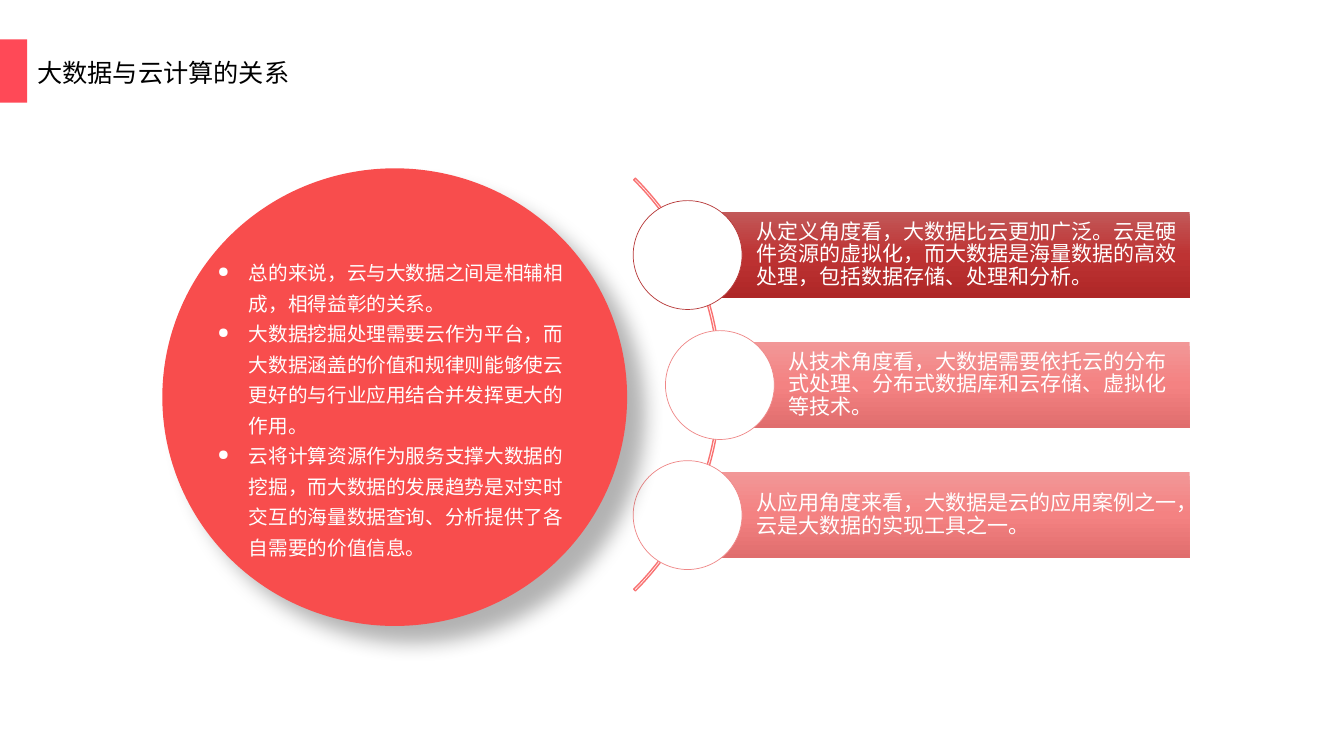
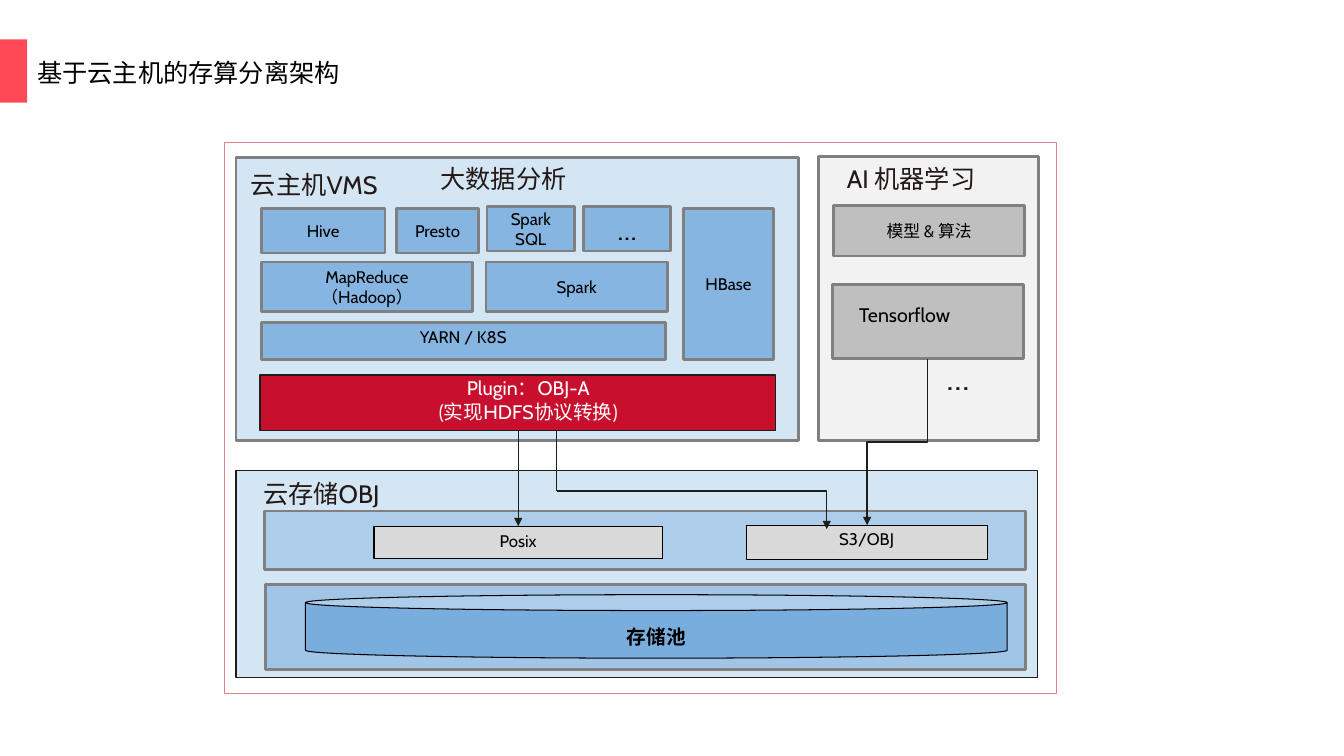
from copy import deepcopy
from dataclasses import dataclass

from lxml.etree import SubElement as Sub
from pptx import Presentation
from pptx.dml.color import RGBColor
from pptx.enum.shapes import MSO_CONNECTOR as Wire, MSO_SHAPE as Kind
from pptx.enum.text import MSO_ANCHOR as Anchor, MSO_AUTO_SIZE as Fit, PP_ALIGN as Align
from pptx.oxml.ns import qn
from pptx.util import Inches, Pt


@dataclass(frozen=True)
class Theme:
    sans: str = "Noto Sans CJK SC"
    latin: str = "Cabin"
    # type sizes
    head: int = 18
    body: int = 15
    note: int = 14
    small: int = 12
    dots: int = 20
    large: int = 24
    # colours
    white: str = "FFFFFF"
    black: str = "000000"
    ink: str = "221815"
    wire: str = "1D1D1A"
    band: str = "FF4957"
    disc: str = "F84D4D"
    arc: str = "F97272"
    dark: tuple = ("C25959", "BE3333", "AE2727")
    pale: tuple = ("F29797", "F48282", "E06D6D")
    ring: str = "B73939"
    rose: str = "EF8787"
    frame: str = "E28189"
    edge: str = "808080"
    panel: str = "D4E5F4"
    tray: str = "ADCDEA"
    vault: str = "A0C5E7"
    pool: str = "79ADDD"
    node: str = "85B5E0"
    plug: str = "C8102E"
    fog: str = "F2F2F2"
    gray: str = "BFBFBF"
    port: str = "D9D9D9"


T = Theme()


def rgb(code):
    return RGBColor.from_string(code)


def place(box):
    return [Inches(v) for v in box]


def write(frame, text, size, color, font, align=Align.LEFT, space=None, bold=False):
    """Set the text of a frame and format its paragraphs and runs."""
    frame.text = text
    frame.word_wrap = True
    for para in frame.paragraphs:
        para.alignment = align
        if space:
            para.line_spacing = space
        for run in para.runs:
            run.font.size = Pt(size)
            run.font.bold = bold
            run.font.color.rgb = rgb(color)
            run.font.name = font
            Sub(run.font._element, qn("a:ea"), typeface=T.sans)


def inset(frame, left, top, right=None):
    frame.margin_left = Inches(left)
    frame.margin_right = Inches(left if right is None else right)
    frame.margin_top = frame.margin_bottom = Inches(top)


def draw(slide, box, fill=None, line=None, width=1, kind=Kind.RECTANGLE):
    shape = slide.shapes.add_shape(kind, *place(box))
    shape.shadow.inherit = False
    if fill:
        shape.fill.solid()
        shape.fill.fore_color.rgb = rgb(fill)
    else:
        shape.fill.background()
    if line:
        shape.line.color.rgb = rgb(line)
        shape.line.width = Pt(width)
    else:
        shape.line.fill.background()
    return shape


def blend(shape, colors):
    """Fill a shape from top to bottom with three colours."""
    shape.fill.gradient()
    shape.fill.gradient_angle = 270
    stops = shape._element.spPr.find(".//" + qn("a:gsLst"))
    stops.insert(1, deepcopy(stops[0]))
    for i, (stop, color) in enumerate(zip(shape.fill.gradient_stops, colors)):
        stop.position = i / 2
        stop.color.rgb = rgb(color)


def shade(shape):
    """Cast a soft shadow to the lower right."""
    glow = Sub(shape._element.spPr.find(qn("a:effectLst")), qn("a:outerShdw"),
               blurRad=str(Pt(15)), dist=str(Pt(18)), dir="2700000",
               algn="tl", rotWithShape="0")
    tint = Sub(glow, qn("a:srgbClr"), val=T.black)
    Sub(tint, qn("a:alpha"), val="30000")


def bullet(para, gap):
    props = para._p.get_or_add_pPr()
    props.set("marL", str(Inches(gap)))
    props.set("indent", str(-Inches(gap)))
    Sub(props, qn("a:buSzPct"), val="75000")
    Sub(props, qn("a:buChar"), char="●")


def node(slide, box, text, fill=T.node, line=T.edge, width=2, size=T.small,
         anchor=Anchor.MIDDLE, kind=Kind.RECTANGLE, **style):
    shape = draw(slide, box, fill, line, width, kind)
    frame = shape.text_frame
    inset(frame, 0.07, 0.04)
    frame.vertical_anchor = anchor
    write(frame, text, size, T.black, T.latin, Align.CENTER, **style)


def label(slide, box, text, size=T.head, color=T.ink, align=Align.LEFT):
    frame = slide.shapes.add_textbox(*place(box)).text_frame
    inset(frame, 0.03, 0.02)
    write(frame, text, size, color, T.latin, align)


def link(slide, start, end, kind=Wire.STRAIGHT, arrow=True):
    wire = slide.shapes.add_connector(kind, *place(start + end))
    wire.line.color.rgb = rgb(T.wire)
    wire.line.width = Pt(1)
    props = wire._element.spPr
    Sub(props, qn("a:effectLst"))
    if arrow:
        Sub(props.find(qn("a:ln")), qn("a:tailEnd"), type="triangle")
    return props


def turn(slide, start, end):
    """Link with one corner: across, then down."""
    props = link(slide, start, end, Wire.ELBOW)
    props.find(qn("a:prstGeom")).set("prst", "bentConnector2")


def drop(slide, start, end):
    """Link with two corners: down, left, then down."""
    (x1, y1), (x2, y2) = start, end
    mid_x, mid_y = (x1 + x2) / 2, (y1 + y2) / 2
    half_w, half_h = (y2 - y1) / 2, (x1 - x2) / 2
    props = link(slide, (mid_x - half_w, mid_y - half_h),
                 (mid_x + half_w, mid_y + half_h), Wire.ELBOW)
    props.find(qn("a:xfrm")).set("rot", "5400000")


def page(deck, text):
    """Add a slide with the red band and its title."""
    slide = deck.slides.add_slide(deck.slide_layouts[5])
    draw(slide, (0, 0.39, 0.27, 0.63), T.band)
    title = slide.shapes.title
    title.left, title.top, title.width, title.height = place((0.27, 0.39, 12.6, 0.63))
    frame = title.text_frame
    frame.auto_size = Fit.NONE
    frame.vertical_anchor = Anchor.MIDDLE
    write(frame, text, T.head, T.black, T.sans, space=Pt(24))
    return slide


def view(slide, row, left, text, colors, line):
    """Add a text bar with a circle at its left end."""
    top, bar = 1.99 + 1.29 * row, left + 0.54
    shape = draw(slide, (bar, top + 0.11, 11.8 - bar, 0.86))
    blend(shape, colors)
    frame = shape.text_frame
    inset(frame, 0.68, 0.04, 0.04)
    frame.vertical_anchor = Anchor.MIDDLE
    write(frame, text, T.body, T.white, T.sans, space=0.9)
    draw(slide, (left, top, 1.08, 1.08), T.white, line, 0.5, Kind.OVAL)


def ties(deck):
    slide = page(deck, "大数据与云计算的关系")
    arc = draw(slide, (1.36, 0.92, 5.79, 5.79), line=T.arc, kind=Kind.BLOCK_ARC)
    for i, value in enumerate((189, 27, 0.004)):
        arc.adjustments[i] = value
    views = (
        (6.28, "从定义角度看，大数据比云更加广泛。云是硬件资源的虚拟化，而大数据是海量数据的高效处理，包括数据存储、处理和分析。", T.dark, T.ring),
        (6.6, "从技术角度看，大数据需要依托云的分布式处理、分布式数据库和云存储、虚拟化等技术。", T.pale, T.rose),
        (6.28, "从应用角度来看，大数据是云的应用案例之一，云是大数据的实现工具之一。", T.pale, T.rose),
    )
    for row, item in enumerate(views):
        view(slide, row, *item)
    shade(draw(slide, (1.61, 1.67, 4.61, 4.54), T.disc, kind=Kind.OVAL))
    points = (
        "总的来说，云与大数据之间是相辅相成，相得益彰的关系。",
        "大数据挖掘处理需要云作为平台，而大数据涵盖的价值和规律则能够使云更好的与行业应用结合并发挥更大的作用。",
        "云将计算资源作为服务支撑大数据的挖掘，而大数据的发展趋势是对实时交互的海量数据查询、分析提供了各自需要的价值信息。",
    )
    frame = slide.shapes.add_textbox(*place((2.06, 2.47, 3.72, 3.16))).text_frame
    write(frame, "\n".join(points), T.note, T.white, T.sans, space=1.3)
    for para in frame.paragraphs:
        bullet(para, 0.31)


def host(slide):
    """Draw the engines on the cloud host and their plugin."""
    draw(slide, (2.34, 1.56, 5.58, 2.81), T.panel, T.edge, 2)
    label(slide, (2.46, 1.66, 1.8, 0.22), "云主机VMS")
    label(slide, (4.34, 1.6, 1.44, 0.24), "大数据分析")
    engines = (
        ((2.59, 2.07, 1.23, 0.44), "Hive"),
        ((3.93, 2.07, 0.82, 0.44), "Presto"),
        ((4.83, 2.05, 0.87, 0.44), "Spark\nSQL"),
        ((2.59, 2.6, 2.1, 0.49), "MapReduce\n（Hadoop）"),
        ((4.82, 2.6, 1.8, 0.49), "Spark"),
        ((6.78, 2.07, 0.89, 1.5), "HBase"),
    )
    for box, text in engines:
        node(slide, box, text)
    node(slide, (5.79, 2.05, 0.86, 0.44), "…", size=T.dots)
    node(slide, (2.59, 3.2, 4.01, 0.37), "YARN / K8S", anchor=Anchor.TOP)
    draw(slide, (2.58, 3.72, 5.11, 0.55), T.plug, T.wire)
    label(slide, (3.03, 3.71, 4.42, 0.45), "Plugin：OBJ-A\n(实现HDFS协议转换)",
          T.note, T.white, Align.CENTER)


def learn(slide):
    """Draw the machine learning column."""
    draw(slide, (8.12, 1.55, 2.18, 2.82), T.fog, T.edge, 2)
    label(slide, (8.37, 1.6, 1.81, 0.29), "AI 机器学习")
    node(slide, (8.27, 2.04, 1.89, 0.5), "模型 & 算法", T.gray)
    draw(slide, (8.26, 2.82, 1.89, 0.74), T.gray, T.edge, 2)
    label(slide, (8.49, 2.98, 1.38, 0.45), "Tensorflow", T.note, T.black)
    label(slide, (9.36, 3.52, 0.59, 0.3), "…", T.large)


def store(slide):
    """Draw the storage ports and the pool."""
    draw(slide, (2.34, 4.67, 7.95, 2.05), T.panel, T.wire)
    label(slide, (2.58, 4.72, 2.54, 0.31), "云存储OBJ")
    draw(slide, (2.62, 5.07, 7.55, 0.58), T.tray, T.edge, 2)
    draw(slide, (2.63, 5.8, 7.54, 0.84), T.vault, T.edge, 2)
    node(slide, (3.03, 5.9, 6.96, 0.63), "存储池", T.pool, T.black, 0.75, T.note,
         kind=Kind.CAN, space=1.5, bold=True)
    ports = (((3.71, 5.22, 2.86, 0.32), "Posix"), ((7.4, 5.21, 2.39, 0.34), "S3/OBJ"))
    for box, text in ports:
        node(slide, box, text, T.port, T.black, 0.75, anchor=Anchor.TOP)


def stack(deck):
    slide = page(deck, "基于云主机的存算分离架构")
    draw(slide, (2.23, 1.41, 8.25, 5.47), line=T.frame, width=0.75)
    host(slide)
    learn(slide)
    store(slide)
    link(slide, (5.14, 4.27), (5.14, 5.22))
    link(slide, (5.52, 4.27), (5.52, 4.87), arrow=False)
    turn(slide, (5.52, 4.87), (8.2, 5.25))
    drop(slide, (9.2, 3.56), (8.6, 5.21))


def main():
    deck = Presentation()
    deck.slide_width, deck.slide_height = Inches(13.33), Inches(7.5)
    ties(deck)
    stack(deck)
    deck.save("out.pptx")


if __name__ == "__main__":
    main()
